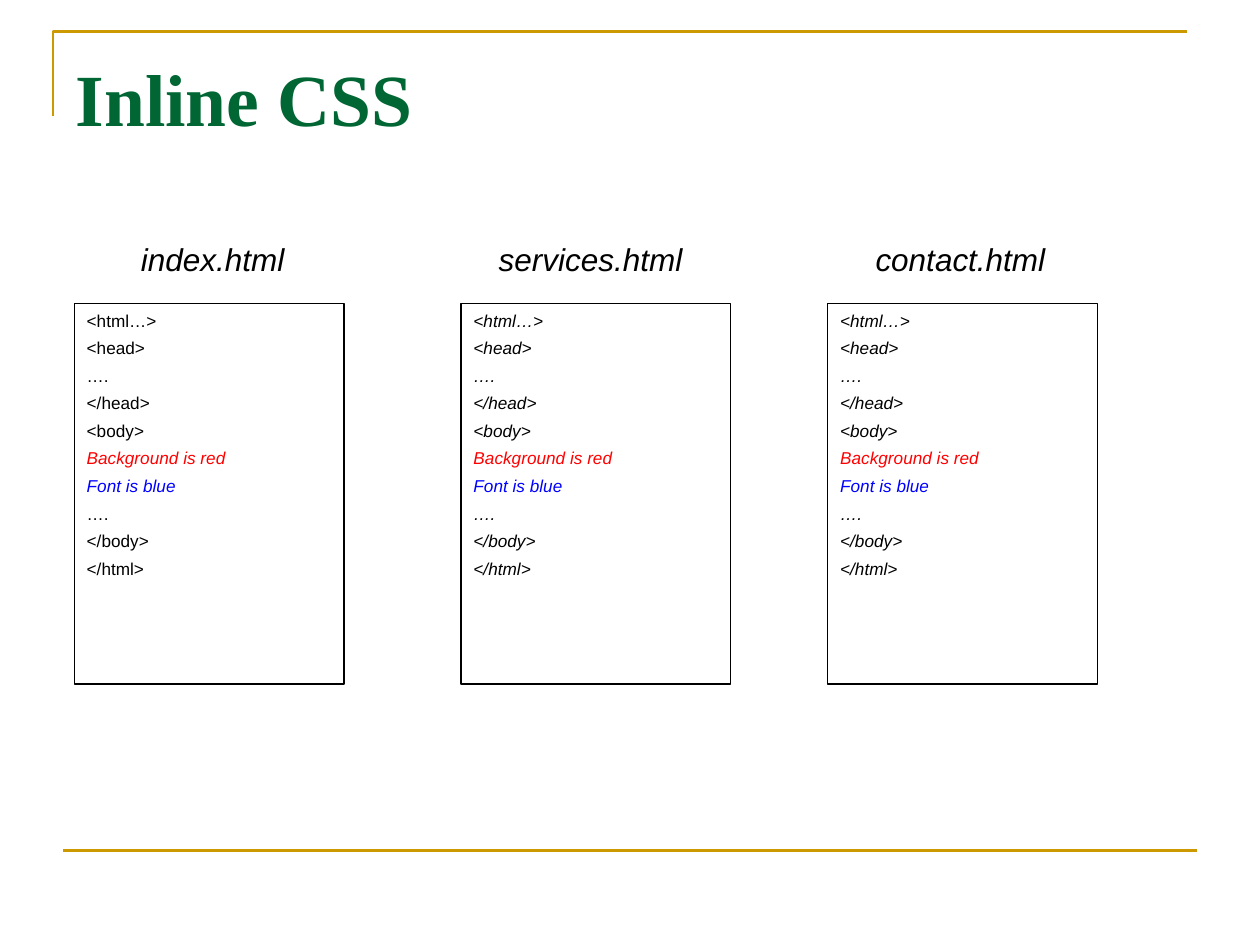
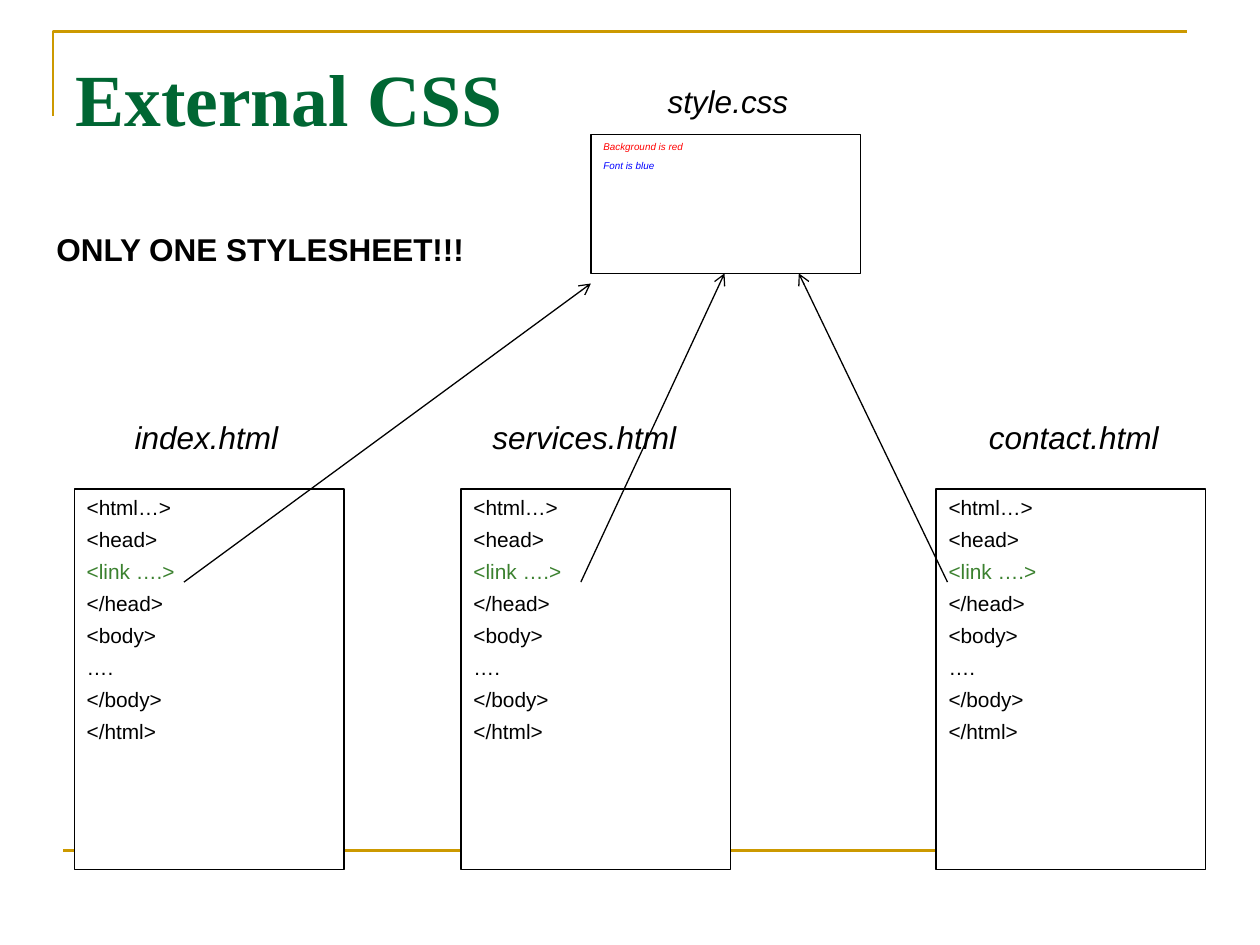
from lxml.etree import SubElement
from pptx import Presentation
from pptx.dml.color import RGBColor
from pptx.enum.shapes import MSO_CONNECTOR, MSO_SHAPE
from pptx.enum.text import MSO_ANCHOR, PP_ALIGN
from pptx.oxml.ns import qn
from pptx.util import Inches, Pt

BLACK, WHITE, GOLD, GREEN = "000000", "FFFFFF", "CC9900", "006633"
LINE_COLOURS = {
    "Background is red": "FF0000",
    "Font is blue": "0000FF",
    "<link ….>": "3B812F",
}
STYLE_RULES = ["Background is red", "Font is blue"]
INLINE_PAGE = ["<html…>", "<head>", "….", "</head>", "<body>", *STYLE_RULES,
               "….", "</body>", "</html>"]
LINKED_PAGE = ["<html…>", "<head>", "<link ….>", "</head>", "<body>", "….",
               "</body>", "</html>"]
PANEL_WIDTH, PANEL_HEIGHT = 2.14, 3.02
colour = RGBColor.from_string


def write(shape, lines, size=18, font="Arial", ink=BLACK, bold=False,
          italic=False, wrap=False, margin_top=0.05):
    """Fill a shape with one paragraph per line; style rules are always italic."""
    frame = shape.text_frame
    frame.word_wrap = wrap
    frame.vertical_anchor = MSO_ANCHOR.TOP
    frame.margin_top = Inches(margin_top)
    for index, line in enumerate(lines):
        para = frame.add_paragraph() if index else frame.paragraphs[0]
        para.alignment = PP_ALIGN.LEFT
        para.space_before = Pt(4 if index else 0)
        span = para.add_run()
        span.text = line
        span.font.name = font
        span.font.size = Pt(size)
        span.font.bold = bold
        span.font.italic = italic or line in STYLE_RULES
        span.font.color.rgb = colour(LINE_COLOURS.get(line, ink))


def draw_line(slide, start, end, ink=BLACK, width=0.75, arrow=False):
    line = slide.shapes.add_connector(
        MSO_CONNECTOR.STRAIGHT, *map(Inches, (*start, *end)))
    line.line.color.rgb = colour(ink)
    line.line.width = Pt(width)
    if arrow:
        SubElement(line.line._get_or_add_ln(), qn("a:tailEnd"), type="arrow")
    SubElement(line.element.spPr, qn("a:effectLst"))
    return line


deck = Presentation()
deck.slide_width, deck.slide_height = Inches(10), Inches(7.5)
layout = deck.slide_layouts[5]

# Slides with their titles
inline_slide, external_slide = [deck.slides.add_slide(layout) for _ in range(2)]
for slide, heading in ((inline_slide, "Inline CSS"), (external_slide, "External CSS")):
    title = slide.shapes.title
    title.left, title.top = Inches(0.5), Inches(0.3)
    title.width, title.height = Inches(9), Inches(1.25)
    write(title, [heading], size=42, font="Times New Roman", ink=GREEN,
          bold=True, wrap=True, margin_top=0.12)

# Gold corner and footer rule, moved to the layout so both slides share them
outline = inline_slide.shapes.build_freeform(Inches(0.42), Inches(0.92))
outline.add_line_segments(
    [(Inches(0.42), Inches(0.25)), (Inches(9.42), Inches(0.25))], close=False)
corner = outline.convert_to_shape()
corner.shadow.inherit = False
corner.fill.background()
corner.line.color.rgb = colour(GOLD)
corner.line.width = Pt(1.5)
footer_rule = draw_line(inline_slide, (0.5, 6.75), (9.5, 6.75), GOLD, 1.5)
for part in (corner, footer_rule):
    layout.shapes.element.append(part.element)

# Code panels: slide, left, top, height, lines, size, italic
panels = [(external_slide, 4.69, 1.07, 1.1, STYLE_RULES, 5.6, True)]
for left, italic in ((0.59, False), (3.66, True), (6.57, True)):
    panels.append((inline_slide, left, 2.41, PANEL_HEIGHT, INLINE_PAGE, 9.8, italic))
for left in (0.59, 3.66, 7.43):
    panels.append((external_slide, left, 3.88, PANEL_HEIGHT, LINKED_PAGE, 11.9, False))

for slide, left, top, height, lines, size, italic in panels:
    panel = slide.shapes.add_shape(
        MSO_SHAPE.RECTANGLE, *map(Inches, (left, top, PANEL_WIDTH, height)))
    panel.shadow.inherit = False
    panel.fill.solid()
    panel.fill.fore_color.rgb = colour(WHITE)
    panel.line.color.rgb = colour(BLACK)
    panel.line.width = Pt(0.75)
    write(panel, lines, size=size, italic=italic, wrap=True)

# Arrows from each link to the stylesheet
for start, end in (((1.46, 4.62), (4.69, 2.25)),
                   ((4.61, 4.62), (5.75, 2.17)),
                   ((7.52, 4.62), (6.34, 2.17))):
    draw_line(external_slide, start, end, arrow=True)

# File names above the panels
labels = [(external_slide, "style.css", 5.2, 0.6, 1.16)]
for name, width, inline_left, external_left in (
        ("index.html", 1.34, 1.02, 0.97),
        ("services.html", 1.66, 3.86, 3.81),
        ("contact.html", 1.55, 6.85, 7.75)):
    labels.append((inline_slide, name, inline_left, 1.86, width))
    labels.append((external_slide, name, external_left, 3.27, width))

for slide, name, left, top, width in labels:
    label = slide.shapes.add_textbox(*map(Inches, (left, top, width, 0.4)))
    write(label, [name], italic=True)

callout = external_slide.shapes.add_textbox(*map(Inches, (0.35, 1.78, 4.06, 0.4)))
write(callout, ["ONLY ONE STYLESHEET!!!"], bold=True, wrap=True)

deck.save("out.pptx")
